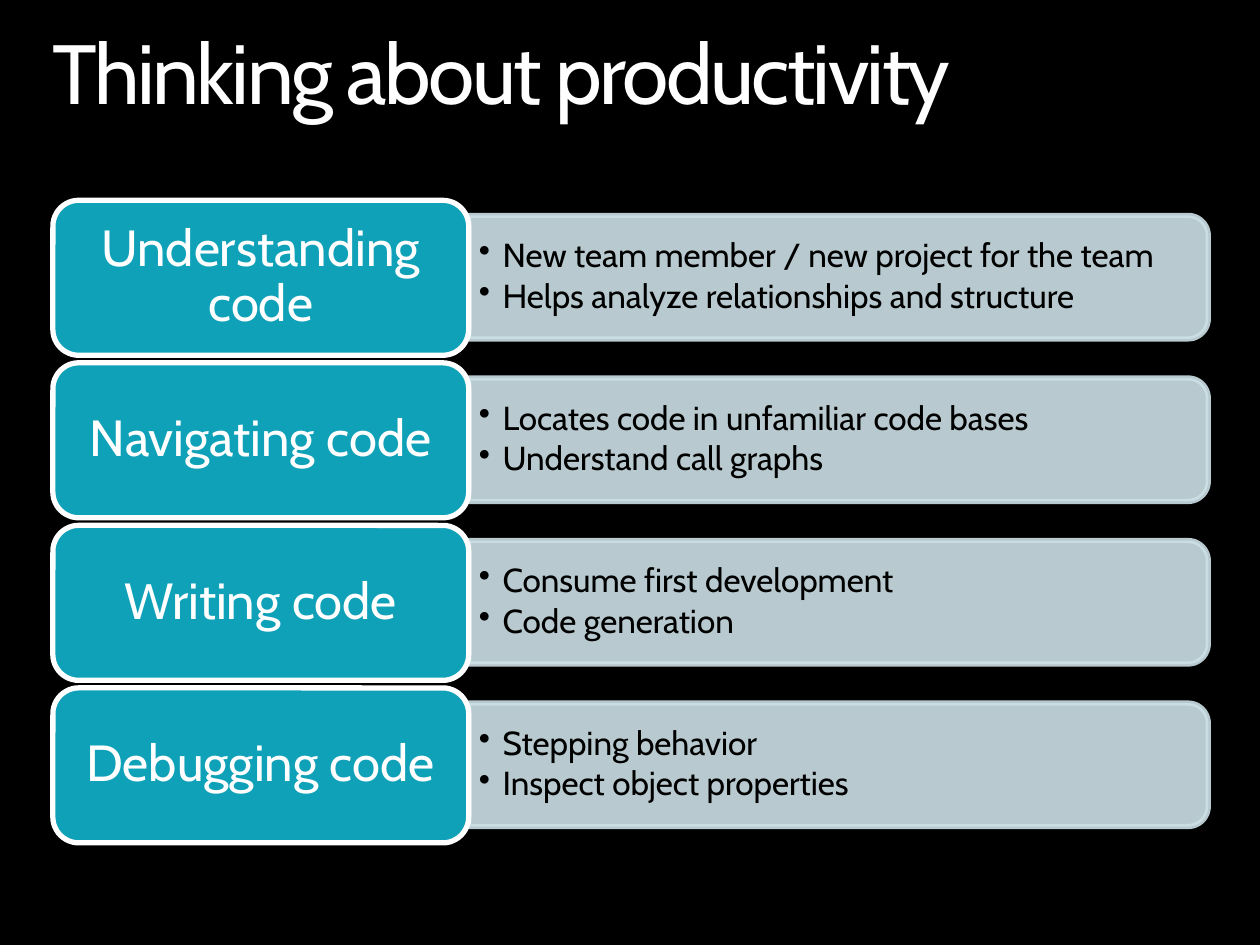
import math
from dataclasses import dataclass

from lxml import etree
from pptx import Presentation
from pptx.dml.color import RGBColor
from pptx.enum.shapes import MSO_SHAPE
from pptx.enum.text import MSO_ANCHOR, MSO_AUTO_SIZE, PP_ALIGN
from pptx.oxml.ns import qn
from pptx.util import Pt

ROUNDED = MSO_SHAPE.ROUNDED_RECTANGLE
TOP, MIDDLE = MSO_ANCHOR.TOP, MSO_ANCHOR.MIDDLE
LEFT, CENTER = PP_ALIGN.LEFT, PP_ALIGN.CENTER
FIT_SHAPE = MSO_AUTO_SIZE.SHAPE_TO_FIT_TEXT
TITLE_ONLY = 5
EMU_PER_PX = 9144  # 100 px to the inch


@dataclass(frozen=True)
class Theme:
    font: str = "Cabin"
    background: RGBColor = RGBColor(0x00, 0x00, 0x00)
    light: RGBColor = RGBColor(0xFF, 0xFF, 0xFF)
    dark: RGBColor = RGBColor(0x00, 0x00, 0x00)
    label: RGBColor = RGBColor(0x0F, 0xA1, 0xB8)
    panel: RGBColor = RGBColor(0xCC, 0xE0, 0xE6)
    panel_opacity: int = 90
    title_size: int = 48
    label_size: int = 29
    bullet_size: int = 19
    outline: int = 3
    line_spacing: float = 0.9
    bullet_gap: float = 2.8


@dataclass(frozen=True)
class Box:
    left: int
    top: int
    width: int
    height: int

    def emu(self) -> tuple[int, ...]:
        return tuple(px(n) for n in (self.left, self.top, self.width, self.height))


@dataclass(frozen=True)
class Topic:
    label: str
    bullets: tuple[str, ...]


THEME = Theme()
TITLE = "Thinking about productivity"
TITLE_BOX = Box(42, 25, 917, 73)
FIRST_LABEL = Box(42, 159, 330, 123)
ROW_PITCH = 129
PANEL_WIDTH, PANEL_HEIGHT, PANEL_RADIUS = 587, 98, 16
BULLET_INDENT = 19
ARC_STEPS = 12

TOPICS = (
    Topic("Understanding code", (
        "New team member / new project for the team",
        "Helps analyze relationships and structure")),
    Topic("Navigating code", (
        "Locates code in unfamiliar code bases",
        "Understand call graphs")),
    Topic("Writing code", ("Consume first development", "Code generation")),
    Topic("Debugging code", ("Stepping behavior", "Inspect object properties")),
)


def px(length: float) -> int:
    return round(length * EMU_PER_PX)


def set_frame(frame, anchor, insets: tuple[int, int, int, int]) -> None:
    """Insets run left, top, right, bottom."""
    frame.word_wrap = True
    frame.vertical_anchor = anchor
    (frame.margin_left, frame.margin_top,
     frame.margin_right, frame.margin_bottom) = map(px, insets)


def style_para(para, size: int, color: RGBColor, align) -> None:
    para.alignment = align
    para.line_spacing = THEME.line_spacing
    para.font.name = THEME.font
    para.font.size = Pt(size)
    para.font.color.rgb = color


def paint(shape, fill: RGBColor, line: RGBColor) -> None:
    shape.shadow.inherit = False
    shape.fill.solid()
    shape.fill.fore_color.rgb = fill
    shape.line.color.rgb = line
    shape.line.width = Pt(THEME.outline)


def set_opacity(shape, percent: int) -> None:
    """Apply to both the fill and the outline."""
    for color in shape._element.spPr.iter(qn("a:srgbClr")):
        etree.SubElement(color, qn("a:alpha")).set("val", str(percent * 1000))


def add_bullet(para) -> None:
    properties = para._p.get_or_add_pPr()
    properties.set("marL", str(px(BULLET_INDENT)))
    properties.set("indent", str(-px(BULLET_INDENT)))
    etree.SubElement(properties, qn("a:buChar")).set("char", "•")


def panel_outline(box: Box) -> list[tuple[int, int]]:
    """Points of a rectangle whose right corners are round, from the top left."""
    right, bottom = box.left + box.width, box.top + box.height
    points = [(px(box.left), px(box.top))]
    for center_y, start in ((box.top + PANEL_RADIUS, -90),
                            (bottom - PANEL_RADIUS, 0)):
        for step in range(ARC_STEPS + 1):
            angle = math.radians(start + 90 * step / ARC_STEPS)
            points.append((
                px(right - PANEL_RADIUS + PANEL_RADIUS * math.cos(angle)),
                px(center_y + PANEL_RADIUS * math.sin(angle))))
    return points + [(px(box.left), px(bottom))]


def add_panel(page, box: Box, bullets: tuple[str, ...]) -> None:
    start, *others = panel_outline(box)
    builder = page.shapes.build_freeform(*start)
    builder.add_line_segments(others, close=True)
    panel = builder.convert_to_shape()
    paint(panel, THEME.panel, THEME.panel)
    set_opacity(panel, THEME.panel_opacity)
    frame = panel.text_frame
    set_frame(frame, MIDDLE, (8, 9, 13, 9))
    frame.text = "\n".join(bullets)
    for para in frame.paragraphs:
        add_bullet(para)
        style_para(para, THEME.bullet_size, THEME.dark, LEFT)
        para.space_after = Pt(THEME.bullet_gap)


def add_label(page, box: Box, text: str) -> None:
    label = page.shapes.add_shape(ROUNDED, *box.emu())
    paint(label, THEME.label, THEME.light)
    set_frame(label.text_frame, MIDDLE, (12, 6, 12, 6))
    label.text_frame.text = text
    style_para(label.text_frame.paragraphs[0], THEME.label_size, THEME.light, CENTER)


def add_title(page) -> None:
    title = page.shapes.title
    title.left, title.top, title.width, title.height = TITLE_BOX.emu()
    frame = title.text_frame
    set_frame(frame, TOP, (0, 0, 0, 0))
    frame.auto_size = FIT_SHAPE
    frame.text = TITLE
    para = frame.paragraphs[0]
    style_para(para, THEME.title_size, THEME.light, LEFT)
    para.runs[0]._r.get_or_add_rPr().set("spc", "-150")


def add_topic(page, row: int, topic: Topic) -> None:
    first = FIRST_LABEL
    label = Box(first.left, first.top + row * ROW_PITCH, first.width, first.height)
    panel = Box(label.left + label.width,
                label.top + (label.height - PANEL_HEIGHT) // 2,
                PANEL_WIDTH, PANEL_HEIGHT)
    add_panel(page, panel, topic.bullets)
    add_label(page, label, topic.label)


def main() -> None:
    deck = Presentation()
    deck.slide_width, deck.slide_height = px(1000), px(750)
    page = deck.slides.add_slide(deck.slide_layouts[TITLE_ONLY])
    page.background.fill.solid()
    page.background.fill.fore_color.rgb = THEME.background
    add_title(page)
    for row, topic in enumerate(TOPICS):
        add_topic(page, row, topic)
    deck.save("out.pptx")


if __name__ == "__main__":
    main()
